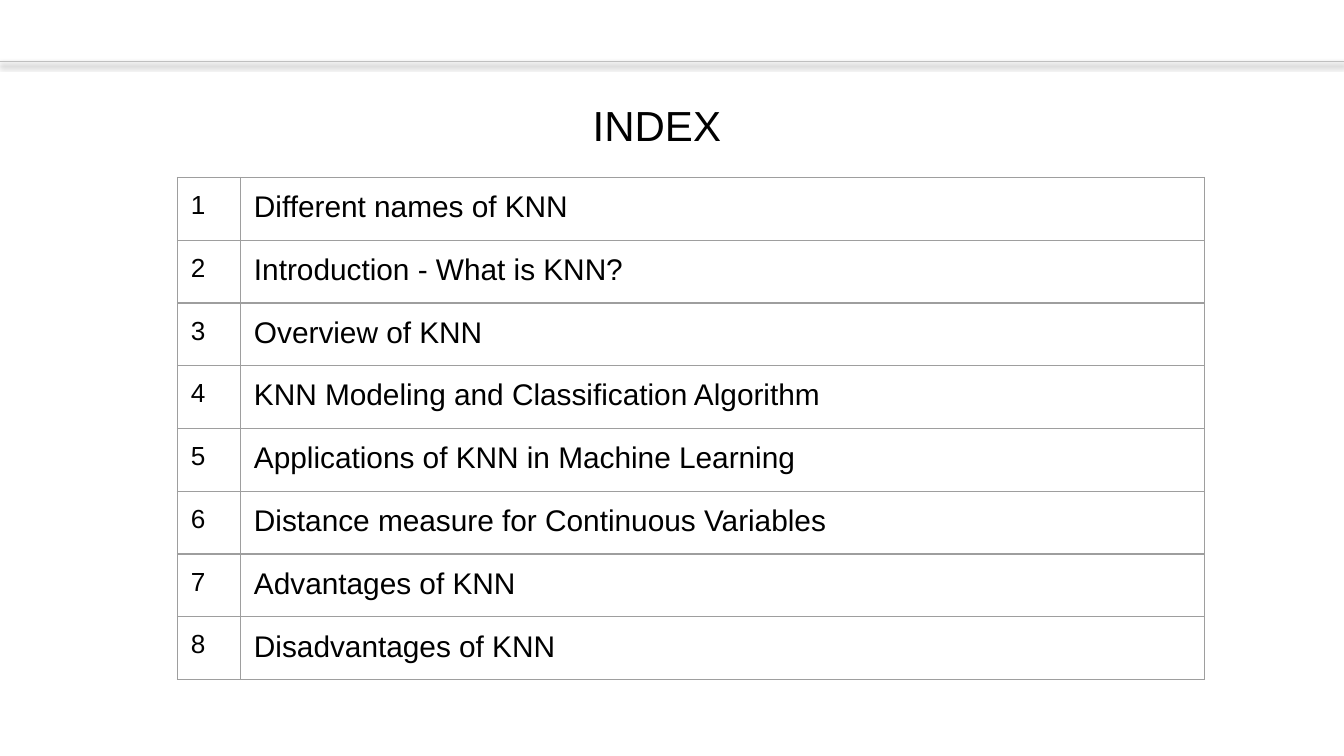
import dataclasses

import pptx
import pptx.dml.color
import pptx.enum.shapes
import pptx.enum.text
import pptx.oxml
import pptx.oxml.ns
import pptx.util
from pptx.util import Inches

DRAWING_NS = pptx.oxml.ns.nsdecls("a")

TOPICS = [
    "Different names of KNN",
    "Introduction - What is KNN?",
    "Overview of KNN",
    "KNN Modeling and Classification Algorithm",
    "Applications of KNN in Machine Learning",
    "Distance measure for Continuous Variables",
    "Advantages of KNN",
    "Disadvantages of KNN",
]


@dataclasses.dataclass(frozen=True)
class Theme:
    font: str = "Arial"
    ink: str = "000000"
    rule: str = "BFBFBF"
    grid: str = "9E9E9E"
    line_width: float = 0.75
    title_size: float = 22.5
    number_size: float = 14
    topic_size: float = 16


class SlideBuilder:
    def __init__(self, slide, theme):
        self.slide = slide
        self.theme = theme

    def style_text(self, frame, size):
        for paragraph in frame.paragraphs:
            for run in paragraph.runs:
                run.font.name = self.theme.font
                run.font.size = pptx.util.Pt(size)
                run.font.color.rgb = pptx.dml.color.RGBColor.from_string(self.theme.ink)

    def header_rule(self, top, width):
        """Draw a full-width line with a soft shadow below it."""
        rule = self.slide.shapes.add_connector(
            pptx.enum.shapes.MSO_CONNECTOR.STRAIGHT,
            0, Inches(top), Inches(width), Inches(top))
        rule.line.color.rgb = pptx.dml.color.RGBColor.from_string(self.theme.rule)
        rule.line.width = pptx.util.Pt(self.theme.line_width)
        blur, distance = pptx.util.Pt(3.1), pptx.util.Pt(1.6)
        rule._element.spPr.append(pptx.oxml.parse_xml(
            f'<a:effectLst {DRAWING_NS}>'
            f'<a:outerShdw blurRad="{blur}" dist="{distance}" dir="5400000" rotWithShape="0">'
            f'<a:srgbClr val="{self.theme.ink}"><a:alpha val="38000"/></a:srgbClr>'
            f'</a:outerShdw></a:effectLst>'))

    def title(self, text, left, top, width, height, indent):
        frame = self.slide.shapes.add_textbox(
            Inches(left), Inches(top), Inches(width), Inches(height)).text_frame
        frame.word_wrap = True
        frame.vertical_anchor = pptx.enum.text.MSO_ANCHOR.MIDDLE
        frame.margin_left = Inches(indent)
        frame.text = text
        self.style_text(frame, self.theme.title_size)

    def border(self, cell):
        properties = cell._tc.get_or_add_tcPr()
        width = pptx.util.Pt(self.theme.line_width)
        for side in ("lnL", "lnR", "lnT", "lnB"):
            properties.append(pptx.oxml.parse_xml(
                f'<a:{side} {DRAWING_NS} w="{width}"><a:solidFill>'
                f'<a:srgbClr val="{self.theme.grid}"/></a:solidFill></a:{side}>'))

    def index_table(self, topics, left, top, height, column_widths, row_height):
        table_frame = self.slide.shapes.add_table(
            len(topics), len(column_widths), Inches(left), Inches(top),
            Inches(sum(column_widths)), Inches(height))
        table = table_frame.table
        table.first_row = table.horz_banding = False
        for column, width in zip(table.columns, column_widths):
            column.width = Inches(width)
        sizes = (self.theme.number_size, self.theme.topic_size)
        for number, (row, topic) in enumerate(zip(table.rows, topics), start=1):
            row.height = Inches(row_height)
            for cell, text, size in zip(row.cells, (str(number), topic), sizes):
                cell.margin_left = cell.margin_right = Inches(0.1)
                cell.margin_top = cell.margin_bottom = Inches(0.1)
                cell.text_frame.text = text
                self.style_text(cell.text_frame, size)
                self.border(cell)
                cell.fill.background()
        # Changing row heights resizes the frame, so its height is set last.
        table_frame.height = Inches(height)


def main():
    presentation = pptx.Presentation()
    presentation.slide_width = Inches(10)
    presentation.slide_height = presentation.slide_width * 9 // 16
    slide = presentation.slides.add_slide(presentation.slide_layouts[6])

    builder = SlideBuilder(slide, Theme())
    builder.header_rule(top=0.46, width=10)
    builder.title("INDEX", left=0.5, top=0.69, width=9, height=0.47, indent=3.91)
    builder.index_table(TOPICS, left=1.32, top=1.32, height=3.73,
                        column_widths=(0.47, 7.17), row_height=0.46)
    presentation.save("out.pptx")


if __name__ == "__main__":
    main()
